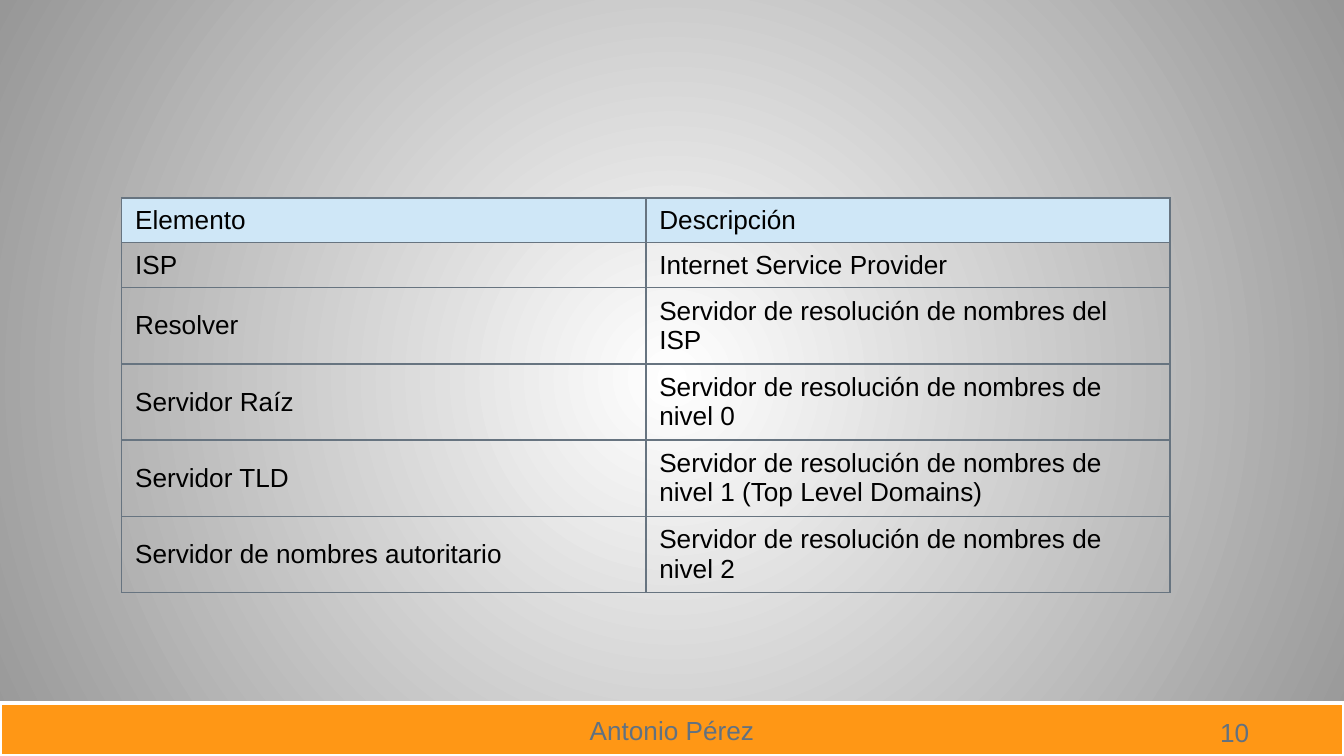
from lxml import etree
from pptx import Presentation
from pptx.dml.color import RGBColor
from pptx.enum.shapes import MSO_SHAPE
from pptx.enum.text import MSO_ANCHOR, PP_ALIGN
from pptx.oxml import parse_xml
from pptx.oxml.ns import nsdecls, qn
from pptx.util import Pt

RECTANGLE = MSO_SHAPE.RECTANGLE
MIDDLE = MSO_ANCHOR.MIDDLE
LEFT, CENTER = PP_ALIGN.LEFT, PP_ALIGN.CENTER

ROWS = [
    ("Elemento", "Descripción"),
    ("ISP", "Internet Service Provider"),
    ("Resolver", "Servidor de resolución de nombres del ISP"),
    ("Servidor Raíz", "Servidor de resolución de nombres de nivel 0"),
    ("Servidor TLD", "Servidor de resolución de nombres de nivel 1 (Top Level Domains)"),
    ("Servidor de nombres autoritario", "Servidor de resolución de nombres de nivel 2"),
]
AUTHOR = "Antonio Pérez"
PAGE_NUMBER = "10"

WIDTH, HEIGHT = 720, 405
FOOTER_TOP = 376.8
TABLE_LEFT, TABLE_TOP, COLUMN_WIDTH = 65.2, 106, 280.8
ROW_HEIGHTS = [23.04] * 2 + [38.6] * 4
BACKGROUND = ("FFFFFF", "979797")
HEADER_FILL, BORDER = "CFE7F7", "677480"
ORANGE, WHITE, GRAY, BLACK = "FF9715", "FFFFFF", "617181", "000000"


def color(value):
    return RGBColor.from_string(value)


def write(text_frame, text, text_color, alignment=LEFT):
    text_frame.word_wrap = True
    text_frame.text = text
    paragraph = text_frame.paragraphs[0]
    paragraph.alignment = alignment
    font = paragraph.runs[0].font
    font.name = "Arial"
    font.size = Pt(14)
    font.color.rgb = color(text_color)


def set_background(slide):
    fill = slide.background.fill
    fill.gradient()
    for stop, value in zip(fill.gradient_stops, BACKGROUND):
        stop.color.rgb = color(value)
    gradient = next(slide.element.iter(qn("a:gradFill")))
    gradient.remove(gradient.find(qn("a:lin")))
    center = etree.SubElement(gradient, qn("a:path"), {"path": "circle"})
    etree.SubElement(center, qn("a:fillToRect"), dict.fromkeys("ltrb", "50000"))


def add_borders(cell):
    properties = cell._tc.get_or_add_tcPr()
    for side in "LRTB":
        properties.append(parse_xml(
            f'<a:ln{side} {nsdecls("a")} w="{Pt(1)}"><a:solidFill>'
            f'<a:srgbClr val="{BORDER}"/></a:solidFill></a:ln{side}>'))


def add_footer(slide):
    bar = slide.shapes.add_shape(
        RECTANGLE, 0, Pt(FOOTER_TOP), Pt(WIDTH), Pt(HEIGHT - FOOTER_TOP))
    bar.shadow.inherit = False
    bar.fill.solid()
    bar.fill.fore_color.rgb = color(ORANGE)
    bar.line.color.rgb = color(WHITE)
    bar.line.width = Pt(2)
    bar.text_frame.vertical_anchor = MIDDLE
    write(bar.text_frame, AUTHOR, GRAY, CENTER)
    number = slide.shapes.add_textbox(Pt(646.6), Pt(380.2), Pt(43.2), Pt(24.5))
    write(number.text_frame, PAGE_NUMBER, GRAY)


def add_element_table(slide):
    table = slide.shapes.add_table(
        len(ROWS), 2, Pt(TABLE_LEFT), Pt(TABLE_TOP),
        Pt(2 * COLUMN_WIDTH), Pt(sum(ROW_HEIGHTS))).table
    table.first_row = table.horz_banding = False
    for column in table.columns:
        column.width = Pt(COLUMN_WIDTH)
    for row_index, (texts, height) in enumerate(zip(ROWS, ROW_HEIGHTS)):
        table.rows[row_index].height = Pt(height)
        for cell, text in zip(table.rows[row_index].cells, texts):
            write(cell.text_frame, text, BLACK)
            cell.vertical_anchor = MIDDLE
            add_borders(cell)
            if row_index == 0:
                cell.fill.solid()
                cell.fill.fore_color.rgb = color(HEADER_FILL)
            else:
                cell.fill.background()


def main():
    presentation = Presentation()
    presentation.slide_width = Pt(WIDTH)
    presentation.slide_height = Pt(HEIGHT)
    slide = presentation.slides.add_slide(presentation.slide_layouts[6])
    set_background(slide)
    add_footer(slide)
    add_element_table(slide)
    presentation.save("out.pptx")


if __name__ == "__main__":
    main()
